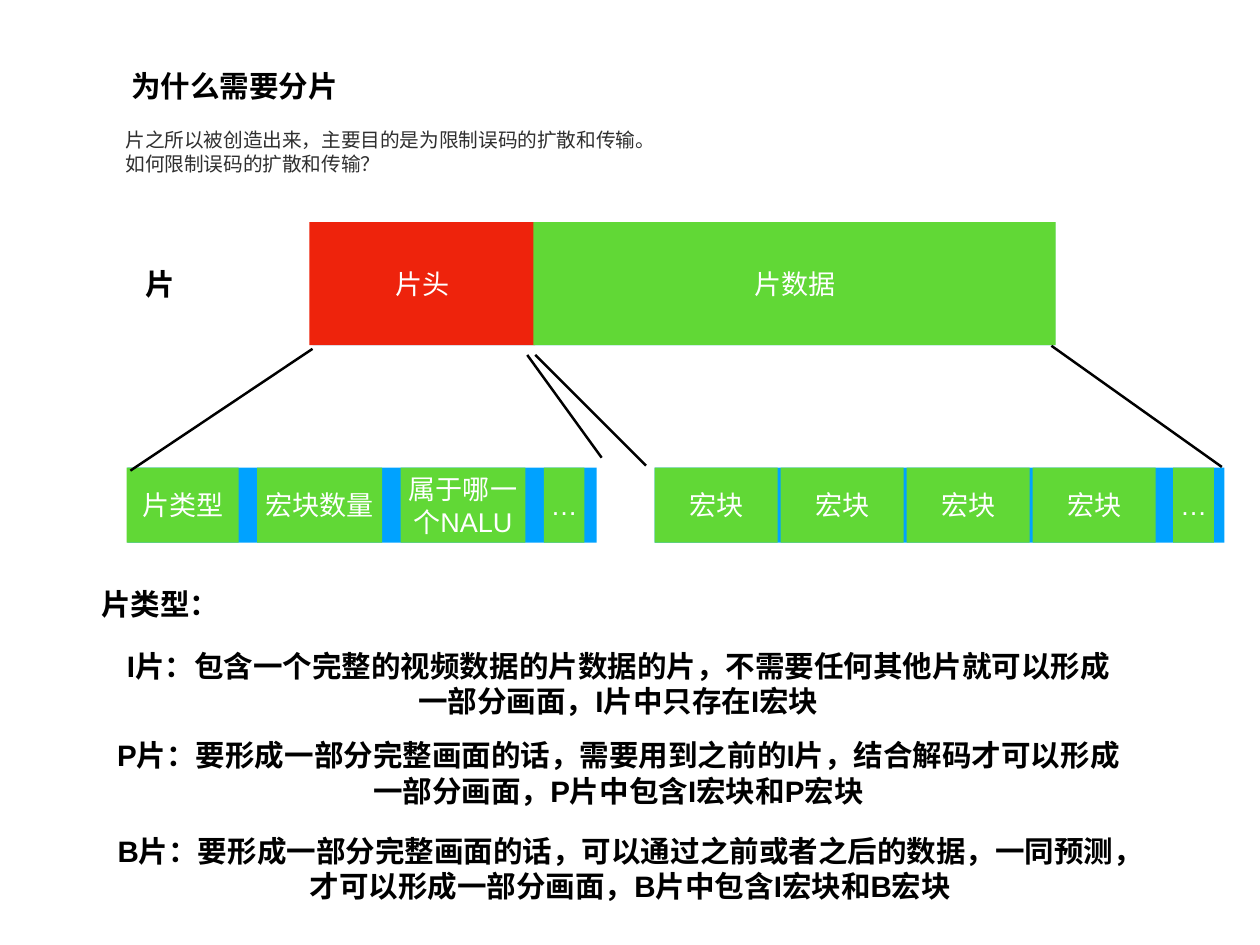
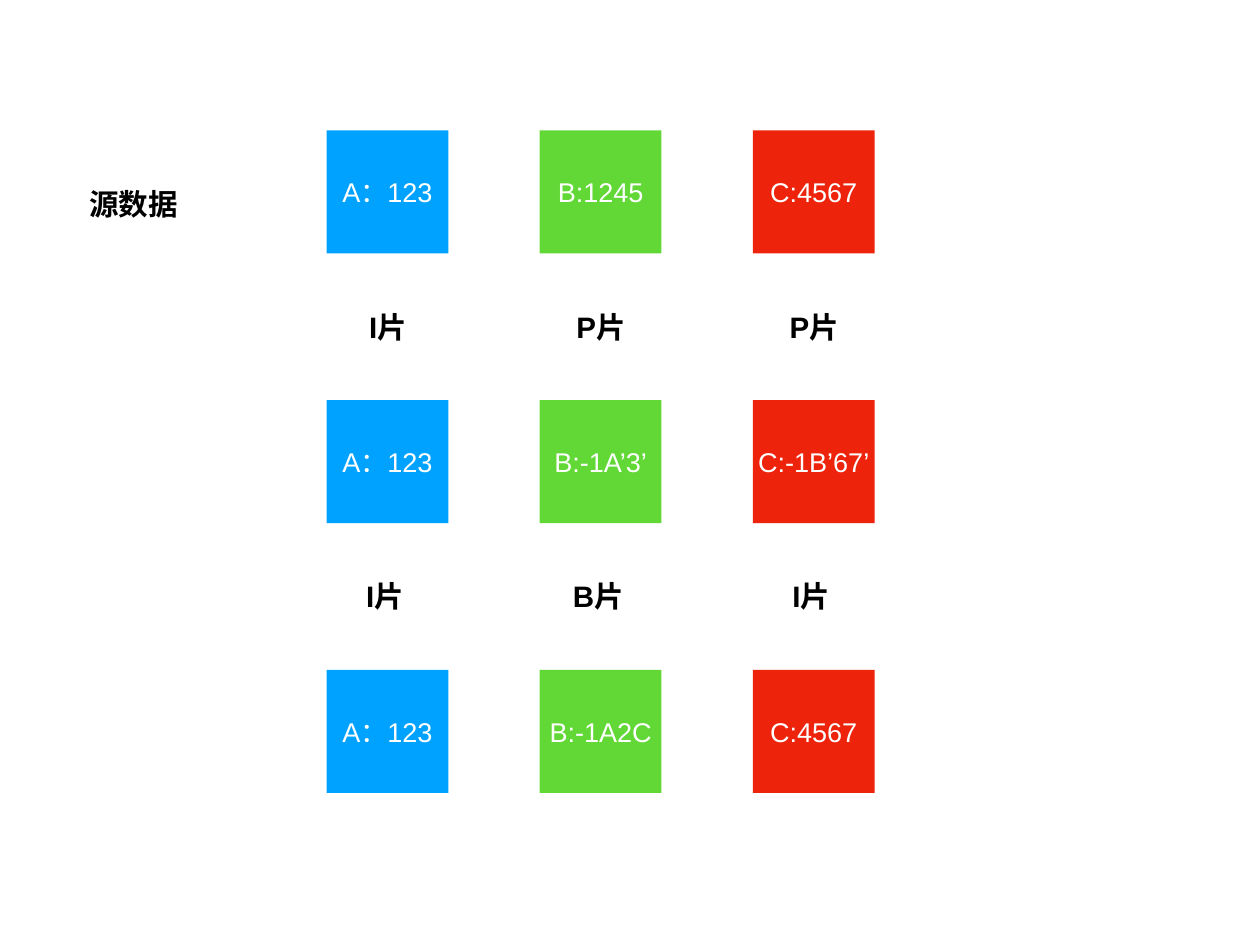
from lxml.etree import SubElement
from pptx import Presentation
from pptx.dml.color import RGBColor
from pptx.enum.shapes import MSO_CONNECTOR, MSO_SHAPE
from pptx.enum.text import MSO_ANCHOR, MSO_AUTO_SIZE, PP_ALIGN
from pptx.oxml.ns import qn
from pptx.util import Pt

COLORS = {"blue": "00A2FF", "green": "61D836", "red": "EE230C",
          "black": "000000", "gray": "2F2F2F", "white": "FFFFFF"}
FONT = "Arial"

# Slide 1: text, left, top, width, height
HEADS = [
    ("片", 113.8, 210.3, 33.1, 41),
    ("为什么需要分片", 102.2, 49, 177.1, 41),
    ("片类型：", 77.8, 470.2, 105.1, 41),
    ("I片：包含一个完整的视频数据的片数据的片，不需要任何其他片就可以形成\n"
     "一部分画面，I片中只存在I宏块", 95, 517.7, 815, 75),
    ("P片：要形成一部分完整画面的话，需要用到之前的I片，结合解码才可以形成\n"
     "一部分画面，P片中包含I宏块和P宏块", 87.1, 590.4, 830.9, 75),
    ("B片：要形成一部分完整画面的话，可以通过之前或者之后的数据，一同预测，\n"
     "才可以形成一部分画面，B片中包含I宏块和B宏块", 87.8, 668.2, 848.9, 75),
]
INTRO = ("片之所以被创造出来，主要目的是为限制误码的扩散和传输。\n"
         "如何限制误码的扩散和传输？")
SLICE = [("片头", "red", 251.5, 183.5), ("片数据", "green", 433.5, 424.5)]
# Each strip: blue base (left, width), first cell, gap, cells, left of "…"
STRIPS = [
    ((103.5, 381.5), 103, 15,
     [("片类型", 91), ("宏块数量", 101.5), ("属于哪一个NALU", 101.5)], 442),
    ((532, 463), 532, 2.4, [("宏块", 100)] * 4, 953.5),
]
LINES = [(106, 382.5, 254, 283.5), (489, 372, 428.5, 288.5),
         (993, 379.5, 854.5, 281), (525, 378.5, 435, 288.5)]

# Slide 2
HUES = ["blue", "green", "red"]
BLOCKS = [["A：123", "B:1245", "C:4567"],
          ["A：123", "B:-1A’3’", "C:-1B’67’"],
          ["A：123", "B:-1A2C", "C:4567"]]
# Each row of labels: shift from the column centre, labels
LABELS = [(0.4, ["I片", "P片", "P片"]), (-1.9, ["I片", "B片", "I片"])]
WIDTHS = {"I": 40.3, "P": 49, "B": 49.7}


def color(name):
    return RGBColor.from_string(COLORS[name])


def write(shape, text, size=24, ink="black", bold=False,
          align=PP_ALIGN.CENTER, wrap=False):
    frame = shape.text_frame
    frame.word_wrap = wrap
    frame.vertical_anchor = MSO_ANCHOR.MIDDLE
    frame.margin_left = frame.margin_right = Pt(4)
    frame.margin_top = frame.margin_bottom = Pt(4)
    for i, line in enumerate(text.split("\n")):
        para = frame.add_paragraph() if i else frame.paragraphs[0]
        para.alignment = align
        run = para.add_run()
        run.text = line
        run.font.name, run.font.size, run.font.bold = FONT, Pt(size), bold
        run.font.color.rgb = color(ink)


def label(slide, text, *spot, **style):
    box = slide.shapes.add_textbox(*map(Pt, spot))
    write(box, text, **style)
    box.text_frame.auto_size = MSO_AUTO_SIZE.SHAPE_TO_FIT_TEXT


def block(slide, hue, *spot, text=""):
    rect = slide.shapes.add_shape(MSO_SHAPE.RECTANGLE, *map(Pt, spot))
    rect.shadow.inherit = False
    rect.fill.solid()
    rect.fill.fore_color.rgb = color(hue)
    rect.line.fill.background()
    if text:
        write(rect, text, size=22, ink="white", wrap=True)


def link(slide, *ends):
    line = slide.shapes.add_connector(MSO_CONNECTOR.STRAIGHT, *map(Pt, ends))
    line.line.color.rgb = color("black")
    line.line.width = Pt(2)
    SubElement(line._element.spPr, qn("a:effectLst"))


def strip(slide, base, left, gap, cells, more):
    top, high = 380, 61
    block(slide, "blue", base[0], top, base[1], high)
    for text, wide in cells:
        block(slide, "green", left, top, wide, high, text=text)
        left += wide + gap
    block(slide, "green", more, top, 33, high, text="…")


def structure(slide):
    block(slide, "blue", 254, 180.5, 603.5, 100)
    for text, hue, left, wide in SLICE:
        block(slide, hue, left, 180.5, wide, 100, text=text)
    for item in STRIPS:
        strip(slide, *item)
    for ends in LINES:
        link(slide, *ends)
    for text, *spot in HEADS:
        label(slide, text, *spot, bold=True)
    label(slide, INTRO, 97.9, 97.2, 445.7, 51.8,
          size=16, ink="gray", align=PP_ALIGN.LEFT)


def example(slide):
    left, top, wide, high = 265.4, 106, 99, 100
    across, down = 173.2, 219.2
    label(slide, "源数据", 67.7, 144.7, 81.4, 41, bold=True)
    for r, row in enumerate(BLOCKS):
        for c, text in enumerate(row):
            block(slide, HUES[c], left + c * across, top + r * down,
                  wide, high, text=text)
    for r, (shift, row) in enumerate(LABELS):
        for c, text in enumerate(row):
            span = WIDTHS[text[0]]
            mid = left + c * across + wide / 2 + shift
            label(slide, text, mid - span / 2, 244.8 + r * down, span, 41,
                  bold=True)


def main():
    deck = Presentation()
    deck.slide_width, deck.slide_height = Pt(1024), Pt(768)
    for draw in (structure, example):
        draw(deck.slides.add_slide(deck.slide_layouts[6]))
    deck.save("out.pptx")


if __name__ == "__main__":
    main()
